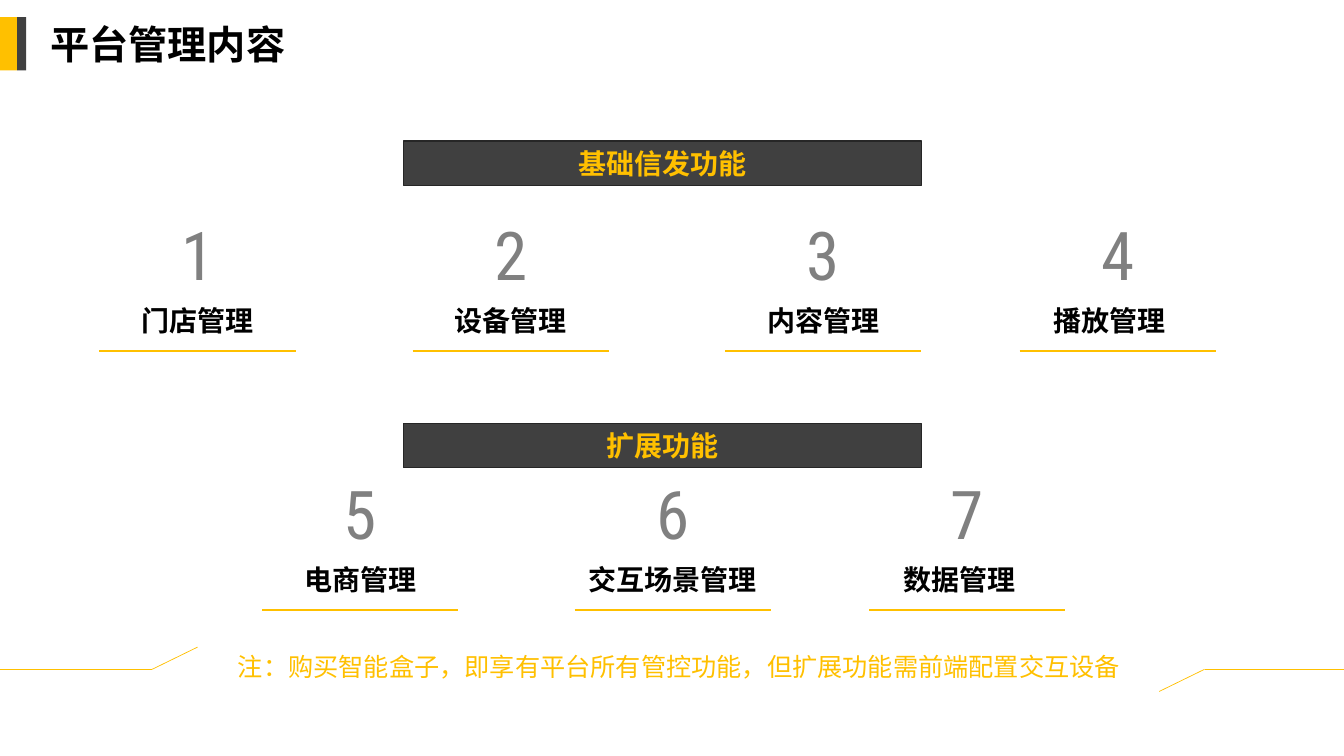
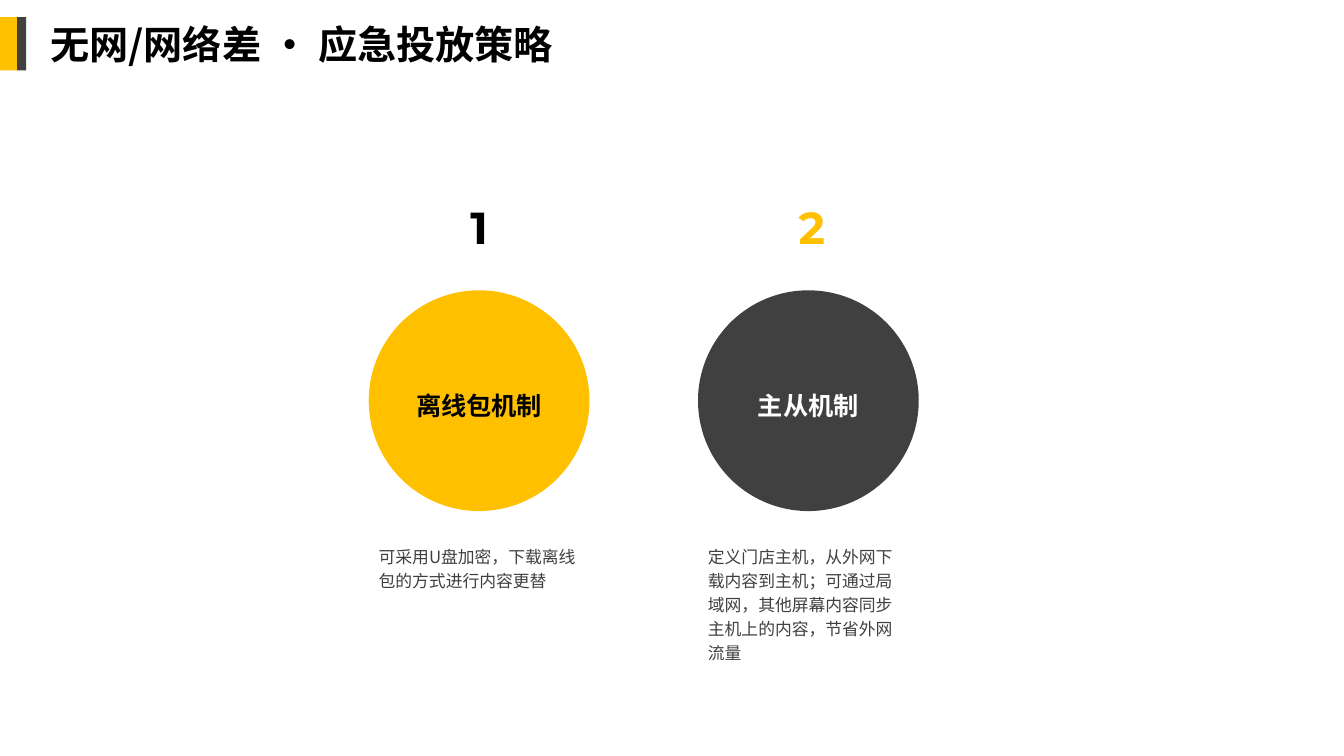
from dataclasses import dataclass
from typing import NamedTuple

import pptx
import pptx.dml.color
import pptx.enum.lang
import pptx.enum.shapes
import pptx.enum.text
import pptx.oxml.ns
import pptx.util
from lxml import etree

# Shared look
AMBER, CHARCOAL, EDGE, GRAY = "FFC000", "404040", "262626", "808080"
BLACK, WHITE = "000000", "FFFFFF"
HAN, DIGITS, HEAVY_DIGITS = "Noto Sans CJK SC", "Roboto Condensed", "Montserrat"
ALIGN = pptx.enum.text.PP_ALIGN
ANCHOR = pptx.enum.text.MSO_ANCHOR
SHAPE = pptx.enum.shapes.MSO_SHAPE

# Grid: 40 columns by 30 rows over the whole slide
SLIDE_WIDTH, SLIDE_HEIGHT = pptx.util.Inches(13.333), pptx.util.Inches(7.5)
COLUMNS, ROWS = 40, 30


class Box(NamedTuple):
    """A frame in grid columns (left, width) and rows (top, height)."""
    left: float
    top: float
    width: float
    height: float


@dataclass
class Feature:
    number: str
    label: str
    center: float
    label_shift: float = 0


@dataclass
class Strategy:
    number: str
    name: str
    description: str
    center: float
    fill: str
    number_color: str
    name_color: str
    description_rows: float
    number_shift: float = 0


def col(count: float) -> int:
    return round(SLIDE_WIDTH * count / COLUMNS)


def row(count: float) -> int:
    return round(SLIDE_HEIGHT * count / ROWS)


def emu(box: Box) -> tuple[int, int, int, int]:
    return col(box.left), row(box.top), col(box.width), row(box.height)


def centered(center: float, top: float, width: float, height: float) -> Box:
    return Box(center - width / 2, top, width, height)


def paint(color_format, color: str) -> None:
    """Set the colour of a font, or of a fill or line made solid."""
    if hasattr(color_format, "solid"):
        color_format.solid()
        color_format = color_format.fore_color
    else:
        color_format = color_format.color
    color_format.rgb = pptx.dml.color.RGBColor.from_string(color)


def write(holder, text: str, *, size: float, color: str = BLACK, font: str = HAN,
          bold: bool = False, align=ALIGN.CENTER, anchor=ANCHOR.TOP,
          spacing: float = 1.0) -> None:
    frame = holder.text_frame
    frame.word_wrap = True
    frame.auto_size = pptx.enum.text.MSO_AUTO_SIZE.NONE
    frame.vertical_anchor = anchor
    paragraph = frame.paragraphs[0]
    paragraph.alignment = align
    paragraph.line_spacing = spacing
    run = paragraph.add_run()
    run.text = text
    run.font.size = pptx.util.Pt(size)
    run.font.bold = bold
    run.font.name = font
    run.font.language_id = pptx.enum.lang.MSO_LANGUAGE_ID.SIMPLIFIED_CHINESE
    paint(run.font, color)
    latin = run.font._element.find(pptx.oxml.ns.qn("a:latin"))
    east_asian = etree.Element(pptx.oxml.ns.qn("a:ea"), typeface=font)
    latin.addnext(east_asian)


def add_text(slide, box: Box, text: str, **style) -> None:
    write(slide.shapes.add_textbox(*emu(box)), text, **style)


def add_figure(slide, kind, box: Box, fill: str, edge: str = ""):
    figure = slide.shapes.add_shape(kind, *emu(box))
    figure.shadow.inherit = False
    paint(figure.fill, fill)
    if edge:
        paint(figure.line.fill, edge)
        figure.line.width = pptx.util.Pt(1)
    else:
        figure.line.fill.background()
    return figure


def add_line(slide, start: tuple[float, float], end: tuple[float, float],
             weight: float) -> None:
    line = slide.shapes.add_connector(
        pptx.enum.shapes.MSO_CONNECTOR.STRAIGHT,
        col(start[0]), row(start[1]), col(end[0]), row(end[1]))
    paint(line.line.fill, AMBER)
    line.line.width = pptx.util.Pt(weight)
    etree.SubElement(line._element.spPr, pptx.oxml.ns.qn("a:effectLst"))


def prepare_layout(presentation):
    """Place the title and the side bands on the title-only layout."""
    layout = presentation.slide_layouts[5]
    title = layout.placeholders[0]
    title.left, title.top, title.width, title.height = emu(
        Box(1.2, 0.6, 23.58, 2.28))
    return layout


def add_bands(slide, layout) -> None:
    """Build the side bands and hand them to the layout all slides use."""
    bands = ((Box(0, 0.68, 0.51, 2.12), AMBER), (Box(0.51, 0.68, 0.27, 2.12), CHARCOAL))
    for number, (box, fill) in enumerate(bands, start=101):
        band = add_figure(slide, SHAPE.RECTANGLE, box, fill)
        band.element.xpath(".//p:cNvPr")[0].set("id", str(number))
        layout.shapes.element.append(band.element)


def add_slide(presentation, layout, title: str):
    slide = presentation.slides.add_slide(layout)
    write(slide.shapes.title, title, size=28, bold=True,
          align=ALIGN.LEFT, anchor=ANCHOR.MIDDLE)
    return slide


def add_banner(slide, top: float, text: str) -> None:
    banner = add_figure(slide, SHAPE.RECTANGLE, Box(12, top, 15.42, 1.76),
                        CHARCOAL, EDGE)
    write(banner, text, size=20, color=AMBER, bold=True, anchor=ANCHOR.MIDDLE)


def add_feature(slide, feature: Feature, top: float) -> None:
    width, half_rule = 8.52, 2.92
    add_text(slide, centered(feature.center, top, width, 3.64),
             feature.number, size=48, color=GRAY, font=DIGITS)
    add_text(slide, centered(feature.center + feature.label_shift, top + 3.56,
                             width, 1.76),
             feature.label, size=20, bold=True)
    add_line(slide, (feature.center - half_rule, top + 5.64),
             (feature.center + half_rule, top + 5.64), 1.75)


def add_strategy(slide, strategy: Strategy) -> None:
    circle = centered(strategy.center, 11.52, 6.57, 8.76)
    add_figure(slide, SHAPE.OVAL, circle, strategy.fill)
    add_text(slide, centered(strategy.center, 14.92, 8.79, 1.88), strategy.name,
             size=18, color=strategy.name_color, bold=True, spacing=1.3)
    add_text(slide, centered(strategy.center + strategy.number_shift, 7.72, 8.79, 2.56),
             strategy.number, size=32, color=strategy.number_color,
             font=HEAVY_DIGITS, bold=True)
    add_text(slide, Box(circle.left, 21.32, circle.width, strategy.description_rows),
             strategy.description, size=12, color=CHARCOAL,
             align=ALIGN.LEFT, spacing=1.2)


def fill_features(slide) -> None:
    # Two groups; the lower one reuses the last three columns, moved left
    centers = (5.88, 15.2, 24.5, 33.27)
    groups = (
        ("基础信发功能", 5.6, 8.28, centers,
         ("门店管理", "设备管理", "内容管理", "播放管理")),
        ("扩展功能", 16.8, 18.56, [center - 4.48 for center in centers[1:]],
         ("电商管理", "交互场景管理", "数据管理")),
    )
    number = 0
    for heading, banner_top, features_top, places, labels in groups:
        add_banner(slide, banner_top, heading)
        for center, label in zip(places, labels):
            number += 1
            shift = -0.24 if label == labels[-1] else 0
            add_feature(slide, Feature(str(number), label, center, shift), features_top)

    # Note between two bent lines
    add_text(slide, Box(6.3, 25.64, 27.81, 1.6),
             "注：购买智能盒子，即享有平台所有管控功能，但扩展功能需前端配置交互设备",
             size=18, color=AMBER)
    level, rise = 26.56, 0.88
    for edge, bend, tip, tip_row in ((0, 4.53, 5.88, level - rise),
                                     (COLUMNS, 35.85, 34.5, level + rise)):
        add_line(slide, (edge, level), (bend, level), 0.5)
        add_line(slide, (bend, level), (tip, tip_row), 0.5)


def fill_strategies(slide) -> None:
    strategies = (
        Strategy("1", "离线包机制", "可采用U盘加密，下载离线包的方式进行内容更替",
                 14.26, AMBER, BLACK, BLACK, 2.36),
        Strategy("2", "主从机制",
                 "定义门店主机，从外网下载内容到主机；可通过局域网，"
                 "其他屏幕内容同步主机上的内容，节省外网流量",
                 24.06, CHARCOAL, AMBER, WHITE, 5.24, number_shift=0.1),
    )
    for strategy in strategies:
        add_strategy(slide, strategy)


def main() -> None:
    presentation = pptx.Presentation()
    presentation.slide_width, presentation.slide_height = SLIDE_WIDTH, SLIDE_HEIGHT
    layout = prepare_layout(presentation)

    features = add_slide(presentation, layout, "平台管理内容")
    add_bands(features, layout)
    fill_features(features)

    strategies = add_slide(presentation, layout, "无网/网络差 · 应急投放策略")
    fill_strategies(strategies)

    presentation.save("out.pptx")


if __name__ == "__main__":
    main()
